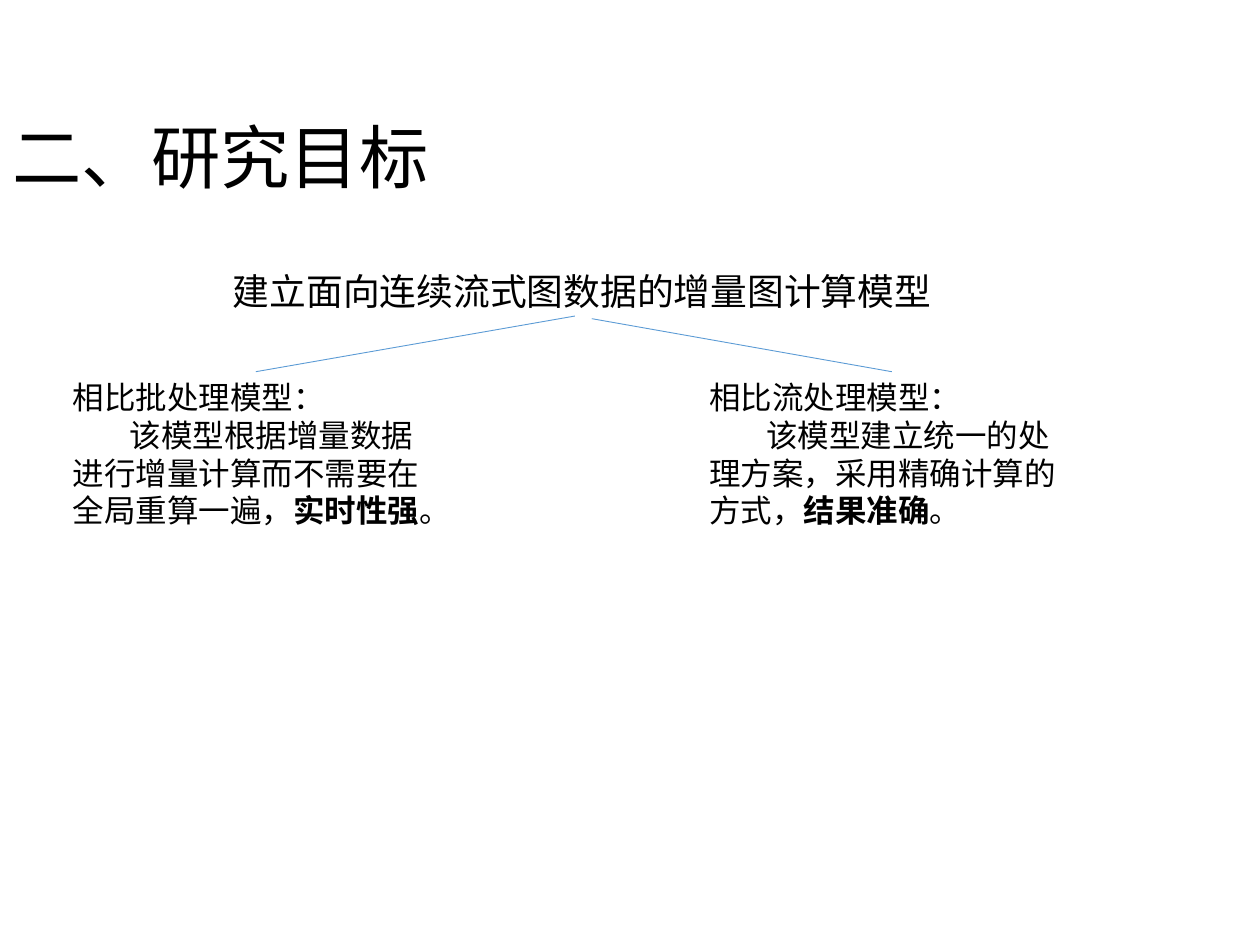
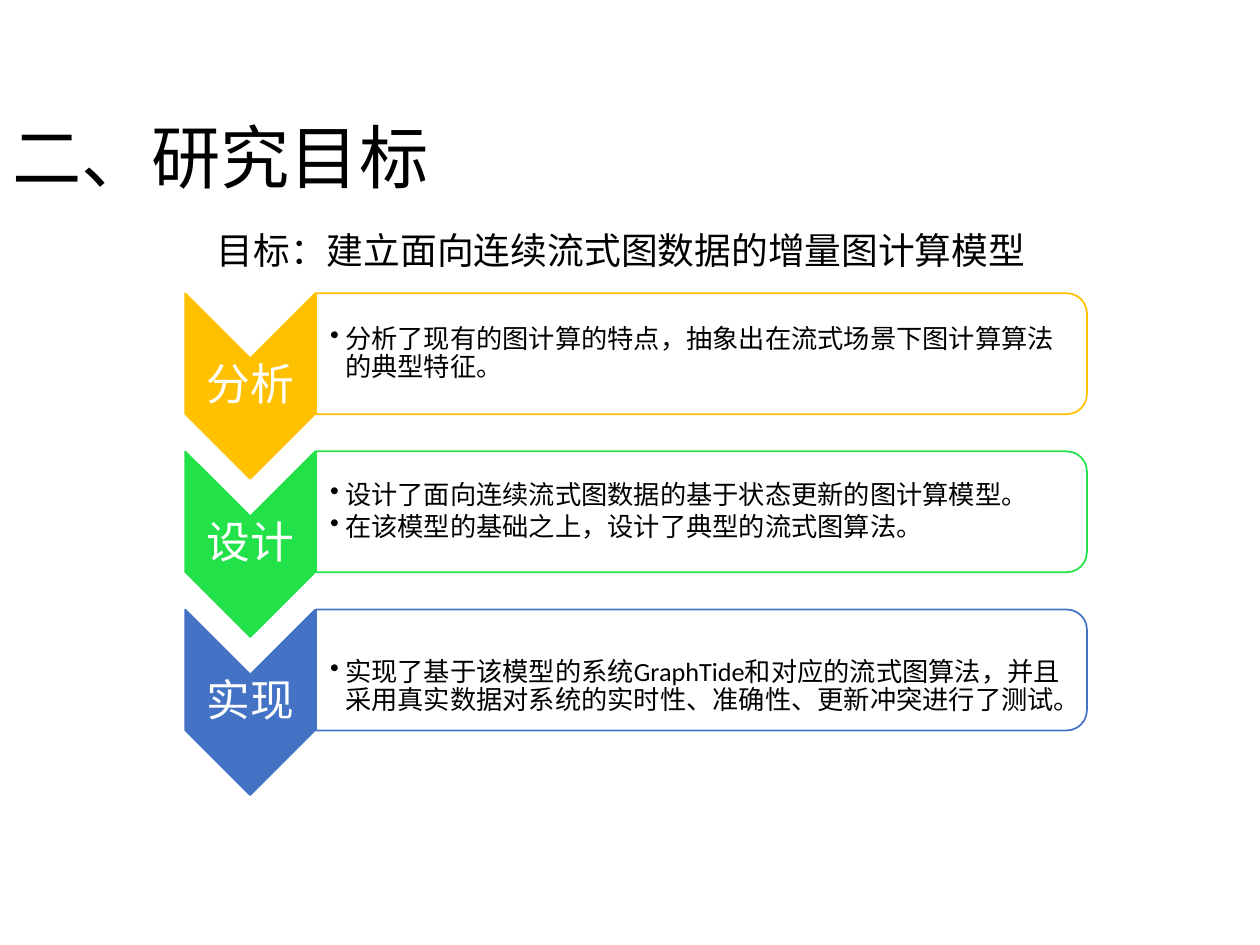
from lxml import etree
from pptx import Presentation, util as u
from pptx.dml.color import RGBColor
from pptx.enum import lang, shapes, text
from pptx.oxml import ns

Pt = u.Pt
FONT = "Calibri"
COLORS = {
    "ink": "000000", "paper": "FFFFFF", "branch": "5B9BD5",
    "analysis": "FFC000", "design": "23E148", "build": "4472C4",
}
TITLE = "二、研究目标"
GOAL = "建立面向连续流式图数据的增量图计算模型"

# Each paragraph is a list of (words, bold) runs
COMPARISONS = [
    ("相比批处理模型：",
     [("该模型根据增量数据进行增量计算而不需要在全局重算一遍，", False),
      ("实时性强", True), ("。", False)]),
    ("相比流处理模型：",
     [("该模型建立统一的处理方案，采用精确计算的方式，", False),
      ("结果准确", True), ("。", False)]),
]
# Label, colour, bullet points, downward shift of the bullets
STEPS = [
    ("分析", "analysis",
     ["分析了现有的图计算的特点，抽象出在流式场景下图计算算法的典型特征。"], 0),
    ("设计", "design",
     ["设计了面向连续流式图数据的基于状态更新的图计算模型。",
      "在该模型的基础之上，设计了典型的流式图算法。"], 0),
    ("实现", "build",
     ["实现了基于该模型的系统GraphTide和对应的流式图算法，"
      "并且采用真实数据对系统的实时性、准确性、更新冲突进行了测试。"], 19.5),
]


def rgb(name):
    return RGBColor.from_string(COLORS[name])


def write(frame, paragraphs, size, color="ink", align=text.PP_ALIGN.LEFT,
          anchor=text.MSO_ANCHOR.TOP, spacing=None, after=None,
          insets=None, first_indents=(), bullet_indent=None):
    """Fill a text frame; a paragraph is a string or a list of (words, bold)."""
    frame.word_wrap = True
    frame.auto_size = text.MSO_AUTO_SIZE.NONE
    frame.vertical_anchor = anchor
    if insets:
        (frame.margin_left, frame.margin_top,
         frame.margin_right, frame.margin_bottom) = map(Pt, insets)
    for i, runs in enumerate(paragraphs):
        paragraph = frame.add_paragraph() if i else frame.paragraphs[0]
        paragraph.alignment = align
        if spacing:
            paragraph.line_spacing = spacing
        if after:
            paragraph.space_after = Pt(after)
        props = paragraph._p.get_or_add_pPr()
        if first_indents:
            props.set("indent", str(Pt(first_indents[i])))
        if bullet_indent:
            props.set("marL", str(Pt(bullet_indent)))
            props.set("indent", str(-Pt(bullet_indent)))
            etree.SubElement(props, ns.qn("a:buChar")).set("char", "•")
        for words, bold in [(runs, False)] if isinstance(runs, str) else runs:
            run = paragraph.add_run()
            run.text = words
            font = run.font
            font.name, font.size, font.bold = FONT, Pt(size), bold
            font.color.rgb = rgb(color)
            font.language_id = lang.MSO_LANGUAGE_ID.SIMPLIFIED_CHINESE


def add_text(slide, box, paragraphs, **fmt):
    write(slide.shapes.add_textbox(*map(Pt, box)).text_frame, paragraphs, **fmt)


def add_quarter_turned(slide, kind, box, fill, line):
    """Add a preset turned by 90 degrees so that it covers the given box."""
    left, top, width, height = box
    shape = slide.shapes.add_shape(
        kind, Pt(left + (width - height) / 2), Pt(top + (height - width) / 2),
        Pt(height), Pt(width))
    shape.rotation = 90
    shape.shadow.inherit = False
    shape.fill.solid()
    shape.fill.fore_color.rgb = rgb(fill)
    shape.line.color.rgb = rgb(line)
    shape.line.width = Pt(1)


def add_branch(slide, start, end):
    branch = slide.shapes.add_connector(
        shapes.MSO_CONNECTOR.STRAIGHT, *map(Pt, start + end))
    branch.line.color.rgb = rgb("branch")
    branch.line.width = Pt(0.5)
    etree.SubElement(branch._element.spPr, ns.qn("a:effectLst"))


def add_titled_slide(deck):
    slide = deck.slides.add_slide(deck.slide_layouts[5])
    title = slide.shapes.title
    title.left, title.top, title.width, title.height = map(Pt, (0, 66.3, 620.6, 51))
    write(title.text_frame, [TITLE], size=39.6, spacing=0.9,
          anchor=text.MSO_ANCHOR.MIDDLE)
    return slide


def add_comparison(slide, box, heading, detail):
    add_text(slide, box, [heading, detail], size=18, first_indents=(0, 32.5))


def add_step(slide, box, label, color, points, shift):
    left, top, width, height = box
    arrow_width, panel_height = 74.3, 69.1
    # Downward chevron with its label
    add_quarter_turned(slide, shapes.MSO_SHAPE.CHEVRON,
                       (left, top, arrow_width, height), color, color)
    add_text(slide, (left, top + 37.2, arrow_width, 31.7), [label], size=25,
             color="paper", align=text.PP_ALIGN.CENTER, spacing=0.9, after=8.75,
             anchor=text.MSO_ANCHOR.MIDDLE, insets=(1.25,) * 4)
    # Panel rounded on its right side, with the bullet points
    panel_left, panel_width = left + arrow_width + 0.5, width - arrow_width - 0.5
    add_quarter_turned(slide, shapes.MSO_SHAPE.ROUND_2_SAME_RECTANGLE,
                       (panel_left, top, panel_width, panel_height), "paper", color)
    add_text(slide, (panel_left - 0.5, top + 3.4, panel_width - 3.4, 62.3), points,
             size=15, spacing=0.9, after=2.25, anchor=text.MSO_ANCHOR.MIDDLE,
             insets=(8.5, 0.75 + shift, 0.75, 0.75), bullet_indent=8.64)


def build_goal_slide(deck):
    slide = add_titled_slide(deck)
    add_text(slide, (126, 149.8, 424, 32.4), [GOAL], size=21)
    for i, (heading, detail) in enumerate(COMPARISONS):
        add_comparison(slide, (34.6 + i * 363.6, 212.4, 222.5, 94.3), heading, detail)
    add_branch(slide, (328.5, 180.6), (146.2, 212.4))
    add_branch(slide, (338.2, 182.1), (509.6, 212.4))


def build_steps_slide(deck):
    slide = add_titled_slide(deck)
    add_text(slide, (116.8, 126.8, 482.4, 32.4), ["目标：" + GOAL], size=21)
    for i, step in enumerate(STEPS):
        add_step(slide, (105.8, 167.6 + i * 90.36, 515.3, 106), *step)


def main():
    deck = Presentation()
    deck.slide_width, deck.slide_height = Pt(720), Pt(540)
    build_goal_slide(deck)
    build_steps_slide(deck)
    deck.save("out.pptx")


if __name__ == "__main__":
    main()
